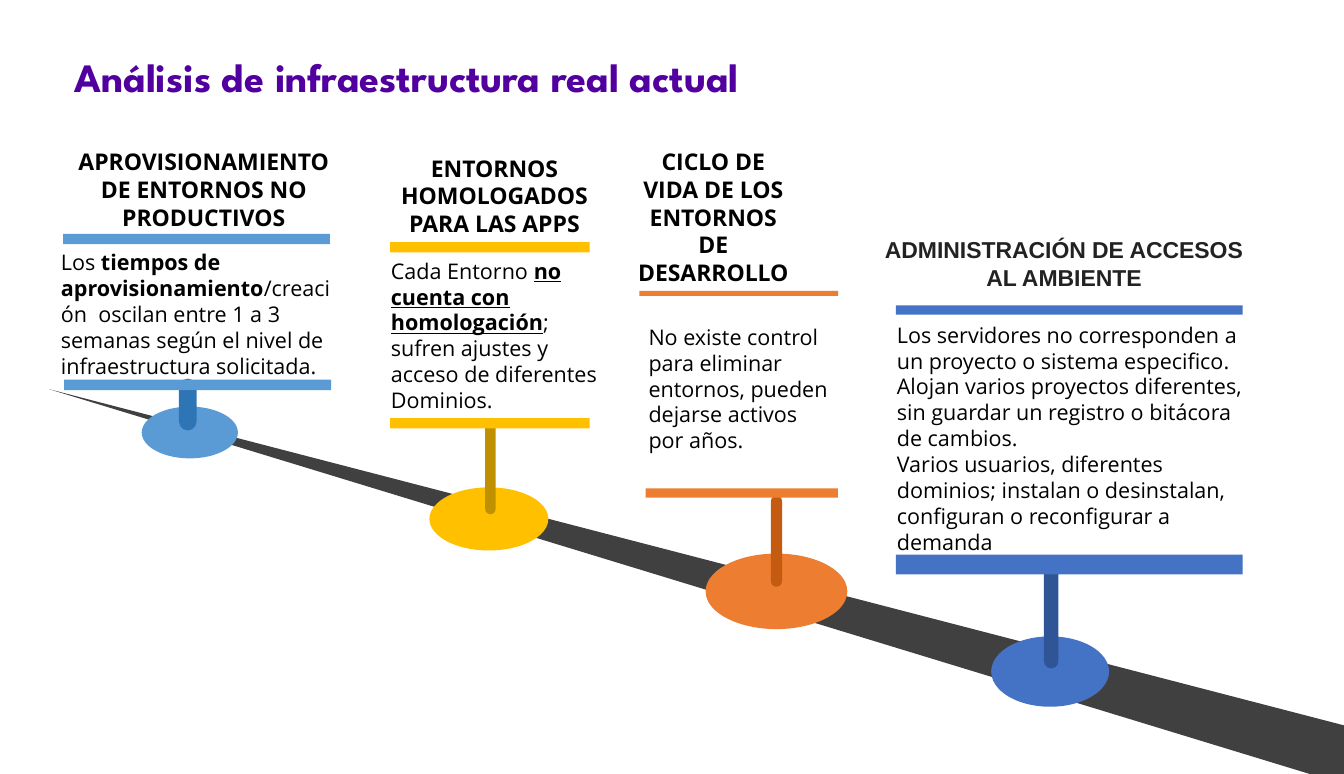
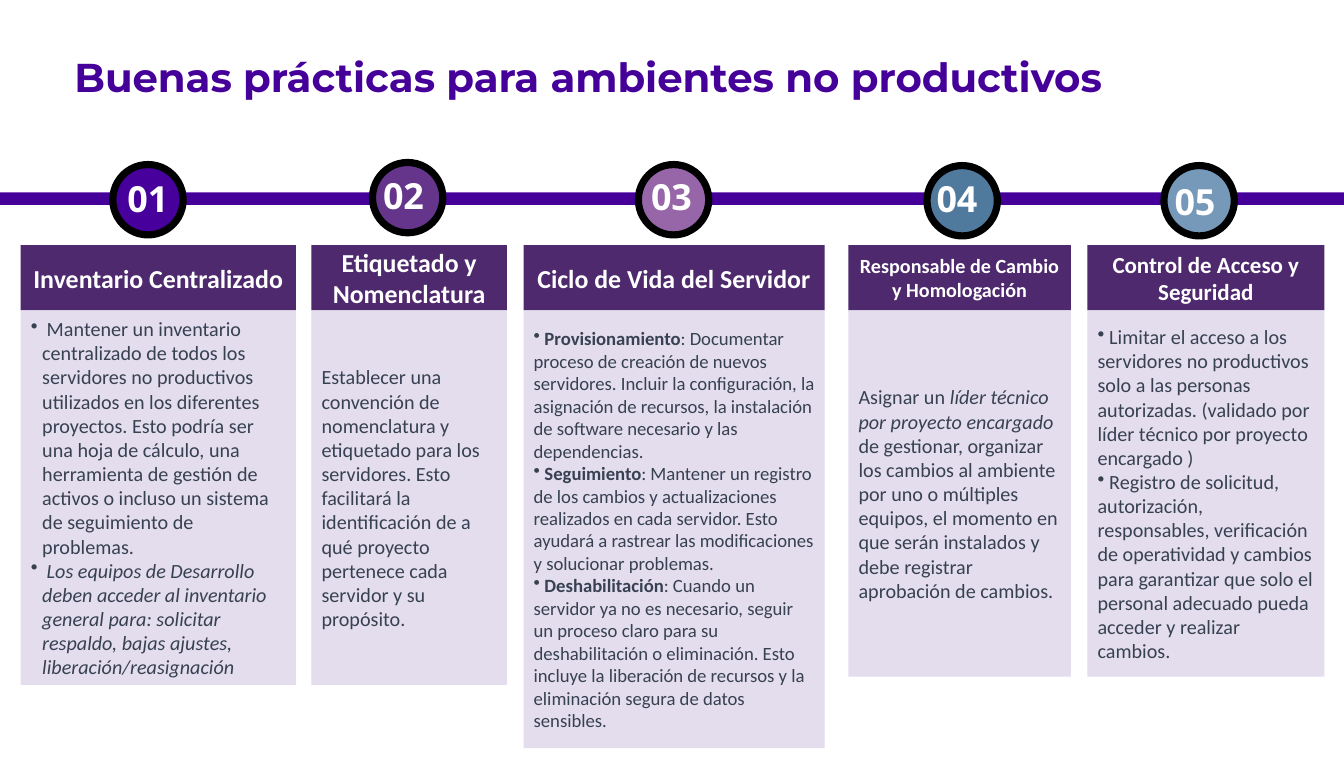
from dataclasses import dataclass

from lxml import etree
from pptx import Presentation
from pptx.dml.color import RGBColor
from pptx.enum.shapes import MSO_SHAPE
from pptx.enum.text import MSO_ANCHOR, PP_ALIGN
from pptx.oxml.ns import qn
from pptx.util import Inches, Pt

RECT, OVAL, PILL = MSO_SHAPE.RECTANGLE, MSO_SHAPE.OVAL, MSO_SHAPE.ROUNDED_RECTANGLE
LEFT, CENTER = PP_ALIGN.LEFT, PP_ALIGN.CENTER
TOP, MIDDLE = MSO_ANCHOR.TOP, MSO_ANCHOR.MIDDLE

# The slide is a grid of square cells, a tenth of an inch each.
CELL = Inches(0.1)
COLUMNS, ROWS = 129.9, 74.8

BLACK = RGBColor(0x00, 0x00, 0x00)
WHITE = RGBColor(0xFF, 0xFF, 0xFF)
INK = RGBColor(0x22, 0x22, 0x22)
SLATE = RGBColor(0x37, 0x41, 0x51)
ROAD = RGBColor(0x40, 0x40, 0x40)
VIOLET = RGBColor(0x51, 0x00, 0x9F)
INDIGO = RGBColor(0x45, 0x00, 0x9A)
PLUM = RGBColor(0x4E, 0x29, 0x6D)
LILAC = RGBColor(0xE3, 0xDD, 0xEE)
SKY, SKY_DARK = RGBColor(0x5B, 0x9B, 0xD5), RGBColor(0x2E, 0x75, 0xB6)
GOLD, GOLD_DARK = RGBColor(0xFF, 0xC0, 0x00), RGBColor(0xBF, 0x90, 0x00)
ORANGE, ORANGE_DARK = RGBColor(0xED, 0x7D, 0x31), RGBColor(0xC5, 0x5A, 0x11)
BLUE, BLUE_DARK = RGBColor(0x44, 0x72, 0xC4), RGBColor(0x2F, 0x55, 0x97)
STEP_1 = RGBColor(0x47, 0x00, 0x9B)
STEP_2 = RGBColor(0x65, 0x35, 0x8B)
STEP_3 = RGBColor(0x97, 0x66, 0xA8)
STEP_4 = RGBColor(0x50, 0x79, 0x9E)
STEP_5 = RGBColor(0x76, 0x99, 0xB9)

OPEN_SANS, CALIBRI = "Open Sans", "Calibri"
HEADER_TOP, HEADER_HEIGHT = 23.7, 6.3
BODY_TOP = HEADER_TOP + HEADER_HEIGHT
CIRCLE = 6.8


@dataclass
class Style:
    size: float
    font: str
    color: RGBColor
    bold: bool = False
    align: int = LEFT
    spacing: float | None = None
    bullet: bool = False
    hang: float = 0


@dataclass
class Milestone:
    """Boxes are (left, top, width, height) in grid cells."""
    color: RGBColor
    dark: RGBColor
    marker: tuple
    stem: tuple
    bars: list
    heading: str
    heading_box: tuple
    body: list
    body_box: tuple
    heading_font: str = OPEN_SANS
    heading_color: RGBColor = BLACK


@dataclass
class Practice:
    left: float
    width: float
    height: float
    heading: str
    heading_size: int
    body: list
    circle: tuple
    number: tuple
    color: RGBColor
    size: int = 14
    bullet: bool = False
    hang: float = 0


MILESTONES = [
    Milestone(
        SKY, SKY_DARK, (13.7, 39.3, 9.3, 5), (17.3, 36.6, 1.7, 5),
        [(6.1, 22.6, 25.8, 1), (6.2, 36.7, 25.8, 1)],
        "APROVISIONAMIENTO DE ENTORNOS NO PRODUCTIVOS", (6.2, 13.8, 27, 9.1),
        [[("Los ", ""), ("tiempos de aprovisionamiento", "b"),
          ("/creación  oscilan entre 1 a 3 semanas según el nivel de "
           "infraestructura solicitada.", "")]],
        (4.9, 23.6, 29.2, 11.4)),
    Milestone(
        GOLD, GOLD_DARK, (41.5, 47.1, 11.5, 6.1), (46.9, 40.6, 1, 9.1),
        [(37.7, 23.4, 19.3, 1), (37.7, 40.4, 19.3, 1)],
        "ENTORNOS HOMOLOGADOS PARA LAS APPS", (36.5, 14.4, 22.6, 9.1),
        [[("Cada Entorno ", ""), ("no cuenta con homologación", "bu"),
          ("; sufren ajustes y acceso de diferentes Dominios.", "")]],
        (36.8, 24.4, 22.3, 14.8)),
    Milestone(
        ORANGE, ORANGE_DARK, (68.2, 53.5, 13.7, 7.3), (74.5, 47.9, 1.1, 8.8),
        [(61.8, 28.1, 19.2, 0.5), (62.4, 47.2, 18.6, 0.9)],
        "CICLO DE VIDA DE LOS ENTORNOS DE DESARROLLO", (60.3, 13.8, 17.3, 14.5),
        [[("No existe control para eliminar entornos, pueden dejarse activos "
           "por años.", "")]],
        (61.7, 30.8, 19.3, 13.6)),
    Milestone(
        BLUE, BLUE_DARK, (95.8, 61.5, 11.4, 6.8), (100.9, 54.1, 1.4, 10.5),
        [(86.6, 29.5, 33.5, 0.9), (86.6, 53.6, 33.5, 1.9)],
        "ADMINISTRACIÓN DE ACCESOS AL AMBIENTE", (84.2, 22.3, 37.3, 6.4),
        [[("Los servidores no corresponden a un proyecto o sistema especifico.", "")],
         [("Alojan varios proyectos diferentes, sin guardar un registro o "
           "bitácora de cambios.", "")],
         [("Varios usuarios, diferentes dominios; instalan o desinstalan, "
           "configuran o reconfigurar a demanda", "")]],
        (85.7, 30.6, 35.9, 23), "Arial", INK),
]

PRACTICES = [
    Practice(
        2, 26.6, 36.2, "Inventario Centralizado", 18,
        [[(" Mantener un inventario centralizado de todos los servidores no "
           "productivos utilizados en los diferentes proyectos. Esto podría ser "
           "una hoja de cálculo, una herramienta de gestión de activos o incluso "
           "un sistema de seguimiento de problemas.", "")],
         [(" Los equipos de Desarrollo deben acceder al inventario general para: "
           "solicitar respaldo, bajas ajustes, liberación/reasignación", "i")]],
        (10.9, 15.9), (10.9, 16.6), STEP_1, bullet=True, hang=1.1),
    Practice(
        30.1, 18.9, 36.2, "Etiquetado y Nomenclatura", 18,
        [[("Establecer una convención de nomenclatura y etiquetado para los "
           "servidores. Esto facilitará la identificación de a qué proyecto "
           "pertenece cada servidor y su propósito.", "")]],
        (36, 15.7), (35.6, 16.3), STEP_2),
    Practice(
        50.6, 29.1, 42.3, "Ciclo de Vida del Servidor", 18,
        [[(" Provisionamiento", "b"),
          (": Documentar proceso de creación de nuevos servidores. Incluir la "
           "configuración, la asignación de recursos, la instalación de software "
           "necesario y las dependencias.", "")],
         [(" Seguimiento", "b"),
          (": Mantener un registro de los cambios y actualizaciones realizados en "
           "cada servidor. Esto ayudará a rastrear las modificaciones y "
           "solucionar problemas.", "")],
         [(" Deshabilitación", "b"),
          (": Cuando un servidor ya no es necesario, seguir un proceso claro para "
           "su deshabilitación o eliminación. Esto incluye la liberación de "
           "recursos y la eliminación segura de datos sensibles.", "")]],
        (61.7, 15.9), (61.5, 16.4), STEP_3, size=13, bullet=True),
    Practice(
        82, 21.5, 35.4, "Responsable de Cambio y Homologación", 14,
        [[("Asignar un ", ""), ("líder técnico por proyecto encargado ", "i"),
          ("de gestionar, organizar los cambios al ambiente por uno o múltiples "
           "equipos, el momento en que serán instalados y debe registrar "
           "aprobación de cambios.", "")]],
        (89.6, 16), (89.1, 16.6), STEP_4),
    Practice(
        105.1, 22.9, 35.4, "Control de Acceso y Seguridad", 16,
        [[(" Limitar el acceso a los servidores no productivos solo a las "
           "personas autorizadas. (validado por líder técnico por proyecto "
           "encargado )", "")],
         [(" Registro de solicitud, autorización, responsables, verificación de "
           "operatividad y cambios para garantizar que solo el personal adecuado "
           "pueda acceder y realizar cambios.", "")]],
        (112.5, 16), (112.1, 16.9), STEP_5, bullet=True),
]


def cells(*counts):
    return [round(count * CELL) for count in counts]


def plain(text):
    return [[(text, "")]]


def paint(shape, fill, outline=None):
    shape.shadow.inherit = False
    shape.fill.solid()
    shape.fill.fore_color.rgb = fill
    if outline is None:
        shape.line.fill.background()
    else:
        shape.line.color.rgb = outline
        shape.line.width = Pt(5)


def add_block(slide, kind, box, fill, outline=None):
    block = slide.shapes.add_shape(kind, *cells(*box))
    paint(block, fill, outline)
    return block


def add_bullet(paragraph, hang):
    properties = paragraph._p.get_or_add_pPr()
    margin, = cells(hang)
    properties.set("marL", str(margin))
    properties.set("indent", str(-margin))
    etree.SubElement(properties, qn("a:buChar")).set("char", "•")


def write(frame, paragraphs, style, anchor):
    """Fill a text frame; run marks are b (bold), i (italic), u (underline)."""
    frame.word_wrap = True
    frame.vertical_anchor = anchor
    for index, runs in enumerate(paragraphs):
        paragraph = frame.add_paragraph() if index else frame.paragraphs[0]
        paragraph.alignment = style.align
        if style.spacing:
            paragraph.line_spacing = style.spacing
        if style.bullet:
            add_bullet(paragraph, style.hang)
        for text, marks in runs:
            run = paragraph.add_run()
            run.text = text
            font = run.font
            font.name, font.size = style.font, Pt(style.size)
            font.color.rgb = style.color
            font.bold = style.bold or "b" in marks
            font.italic = "i" in marks
            font.underline = "u" in marks


def add_label(slide, box, paragraphs, style, anchor=TOP):
    label = slide.shapes.add_textbox(*cells(*box))
    write(label.text_frame, paragraphs, style, anchor)


def add_panel(slide, box, fill, paragraphs, style):
    frame = add_block(slide, RECT, box, fill).text_frame
    inset, = cells(1)
    frame.margin_left = frame.margin_right = inset
    frame.margin_top = frame.margin_bottom = inset
    write(frame, paragraphs, style, MIDDLE)


def add_titled_slide(deck, title, font, color):
    slide = deck.slides.add_slide(deck.slide_layouts[6])
    style = Style(28, font, color, bold=True, spacing=0.9)
    add_label(slide, (6.2, 3.4, 110.4, 8.6), plain(title), style, MIDDLE)
    return slide


def add_road(slide):
    start, *bends = [cells(*point) for point in (
        (4.7, 37.6), (COLUMNS, 70.1), (COLUMNS, ROWS), (126.6, ROWS))]
    outline = slide.shapes.build_freeform(*start)
    outline.add_line_segments(bends, close=True)
    paint(outline.convert_to_shape(), ROAD)


def add_milestone(slide, stop):
    add_block(slide, OVAL, stop.marker, stop.color)
    stem = add_block(slide, PILL, stop.stem, stop.dark)
    stem.adjustments[0] = 0.5
    for bar in stop.bars:
        add_block(slide, RECT, bar, stop.color)
    add_label(slide, stop.heading_box, plain(stop.heading),
              Style(16, stop.heading_font, stop.heading_color, True, CENTER))
    add_label(slide, stop.body_box, stop.body, Style(15, OPEN_SANS, BLACK))


def add_practice(slide, number, practice):
    left, width = practice.left, practice.width
    add_panel(slide, (left, HEADER_TOP, width, HEADER_HEIGHT), PLUM,
              plain(practice.heading),
              Style(practice.heading_size, CALIBRI, WHITE, True, CENTER))
    add_panel(slide, (left, BODY_TOP, width, practice.height), LILAC, practice.body,
              Style(practice.size, CALIBRI, SLATE,
                    bullet=practice.bullet, hang=practice.hang))
    add_block(slide, OVAL, (*practice.circle, CIRCLE, CIRCLE), practice.color, BLACK)
    add_label(slide, (*practice.number, CIRCLE, 5.2), plain(f"{number:02}"),
              Style(25, OPEN_SANS, WHITE, True, CENTER))


def main():
    deck = Presentation()
    deck.slide_width, deck.slide_height = cells(COLUMNS, ROWS)

    analysis = add_titled_slide(
        deck, "Análisis de infraestructura real actual", "League Spartan", VIOLET)
    add_road(analysis)
    for stop in MILESTONES:
        add_milestone(analysis, stop)

    practices = add_titled_slide(
        deck, "Buenas prácticas para ambientes no productivos", "Montserrat", INDIGO)
    add_block(practices, RECT, (0, 18.6, COLUMNS, 1.2), INDIGO)
    for number, practice in enumerate(PRACTICES, 1):
        add_practice(practices, number, practice)

    deck.save("out.pptx")


if __name__ == "__main__":
    main()
